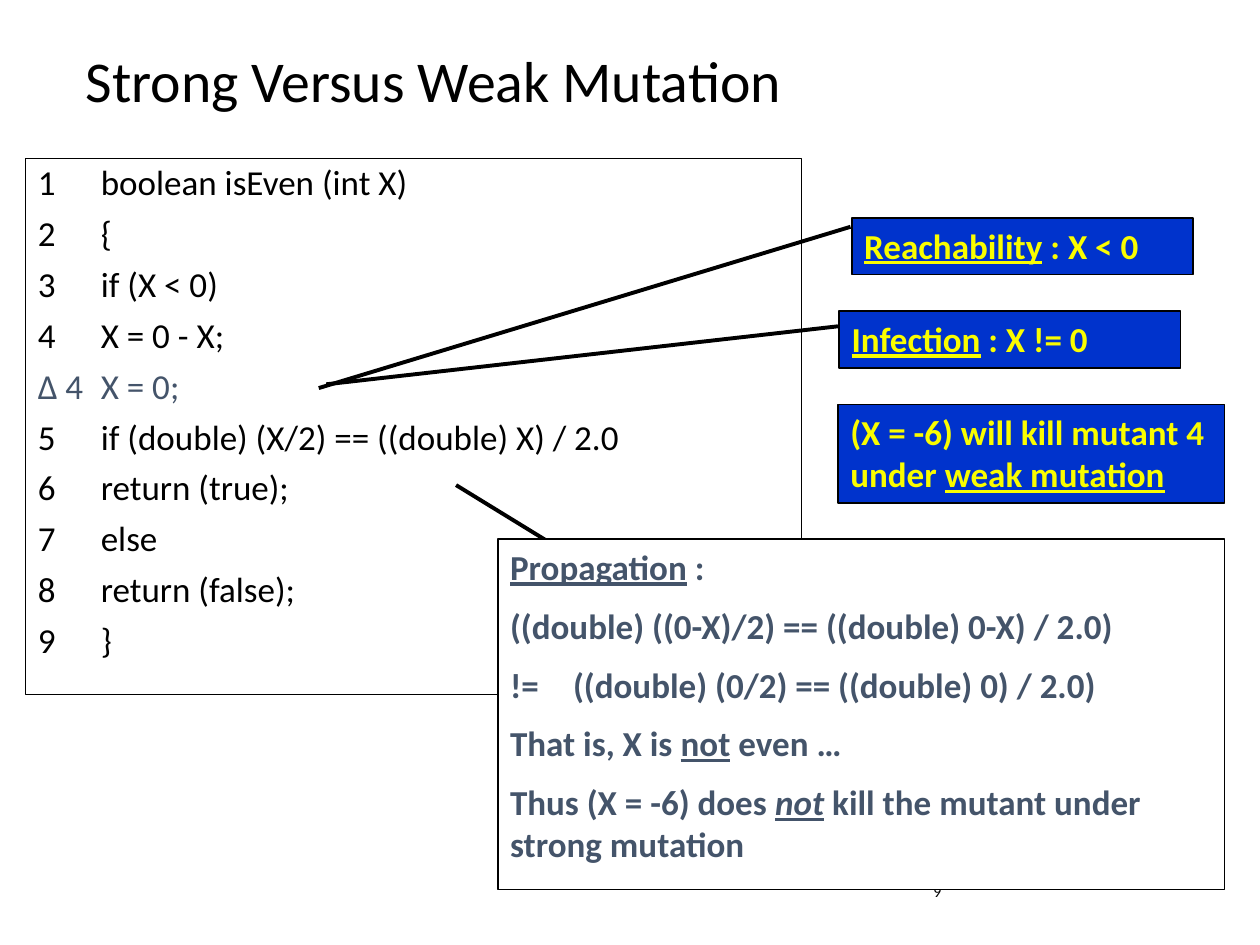
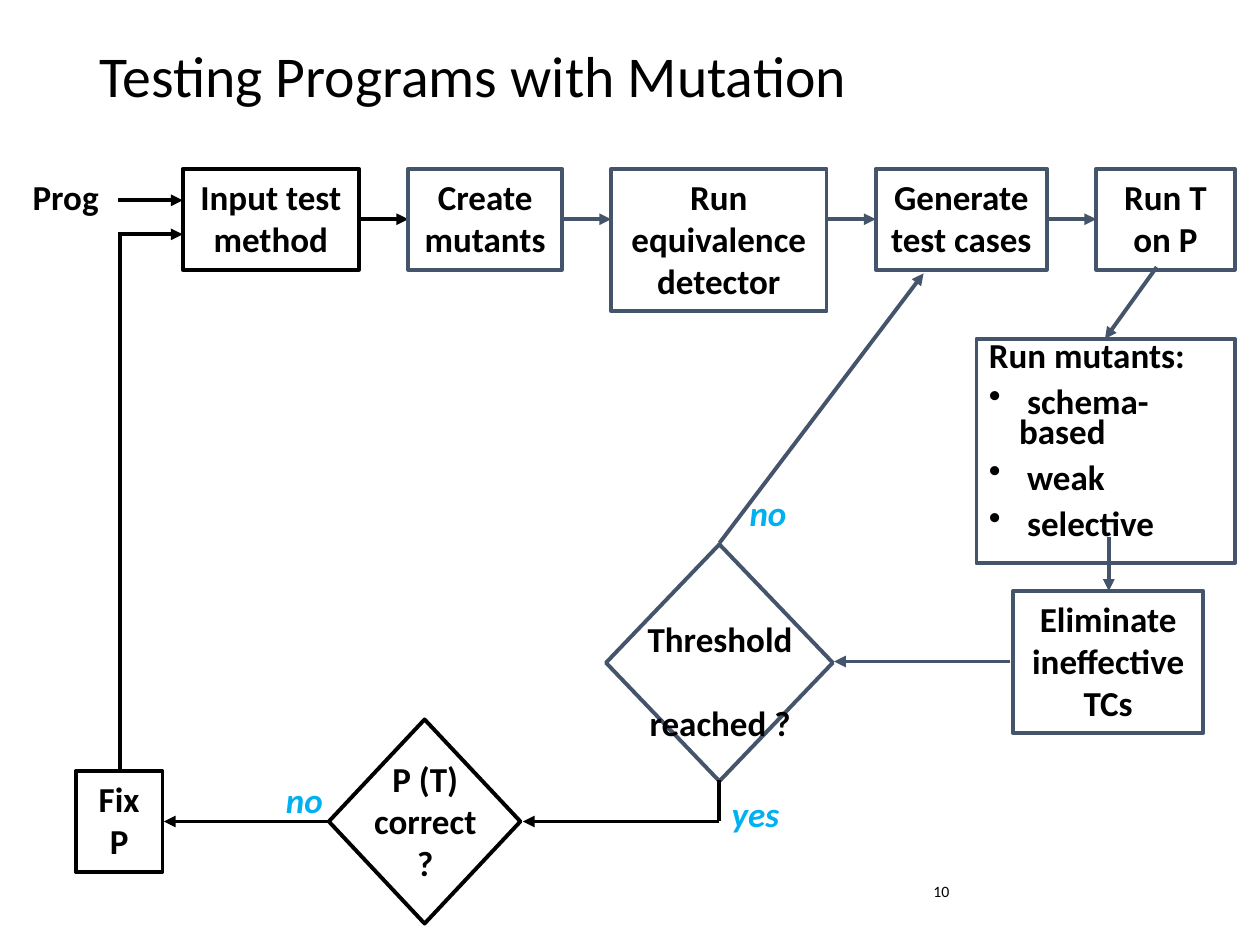
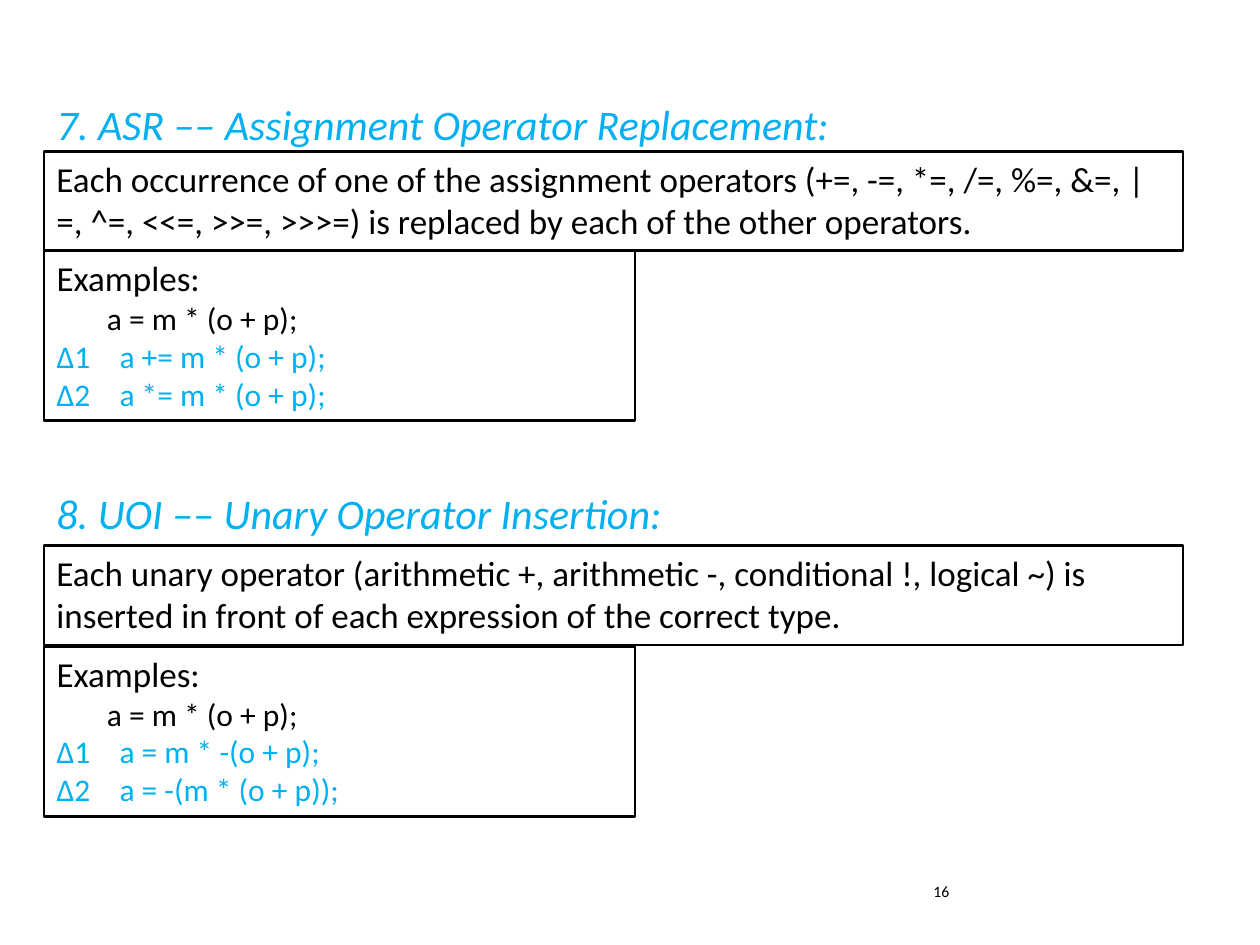
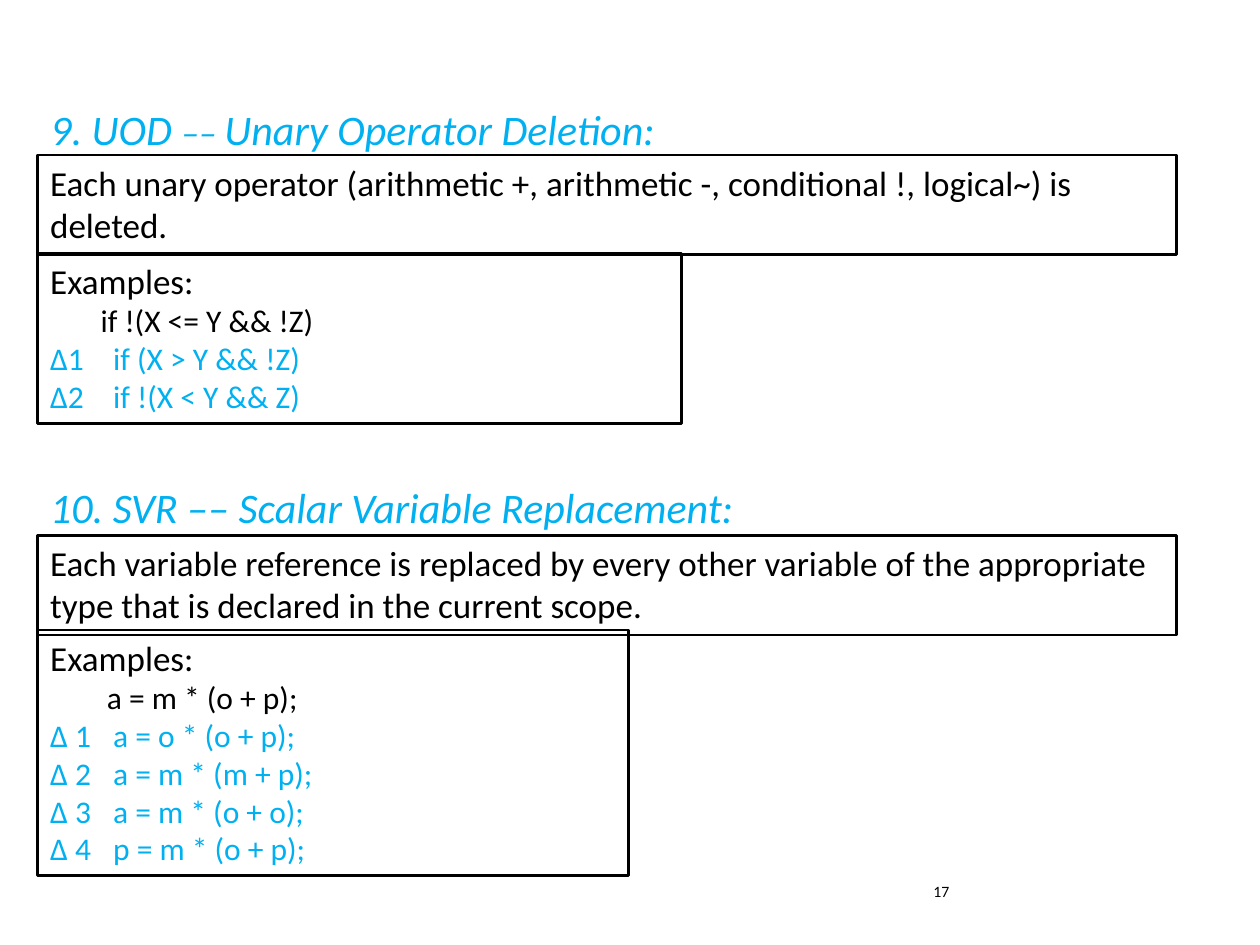
from dataclasses import dataclass, field

from lxml.etree import SubElement
from pptx import Presentation
from pptx.dml.color import RGBColor
from pptx.enum.shapes import MSO_CONNECTOR as Connector, MSO_SHAPE as Preset
from pptx.enum.text import MSO_ANCHOR as Anchor, MSO_AUTO_SIZE as AutoSize, PP_ALIGN as Align
from pptx.oxml.ns import qn
from pptx.util import Inches, Pt


class Theme:
    """Colours, type and grid shared by all slides."""
    FONT = "Calibri"
    BLACK, WHITE = RGBColor(0, 0, 0), RGBColor(255, 255, 255)
    SLATE, SKY = RGBColor(0x44, 0x54, 0x6A), RGBColor(0, 0xB0, 0xF0)
    BLUE, YELLOW = RGBColor(0, 0x33, 0xCC), RGBColor(0xFA, 0xFD, 0)
    TITLE, HEADING, TEXT, CODE, NUMBER = 33, 24, 20, 18, 9
    HAIR, THIN, RULE, FLOW = 0.75, 1, 1.5, 2.25
    COLUMNS, ROWS = 100, 75          # square grid cells over the whole slide
    CELL = Inches(10) / COLUMNS
    GAP_BEFORE = Pt(9.6)
    TWO_LINES, THREE_LINES = 8, 11.3  # box heights in rows


UNDERLINE = {"underline": True}


@dataclass
class Para:
    """One paragraph: runs of (text, font formats), and its own formats."""
    runs: list
    font: dict = field(default_factory=dict)
    formats: dict = field(default_factory=dict)
    left: float = 0
    hang: float = 0
    tab: float = 0
    bullet: str = ""


def cells(*counts):
    """Turn counts of grid cells into lengths."""
    return [round(count * Theme.CELL) for count in counts]


def apply(target, formats):
    """Set attributes from a dict; a colour and a size need conversion."""
    for key, value in formats.items():
        if key == "color":
            target.color.rgb = value
        else:
            setattr(target, key, Pt(value) if key == "size" else value)


def write(shape, paragraphs, font=None, formats=None, anchor=Anchor.TOP):
    """Fill a shape with paragraphs that share font and paragraph formats."""
    frame = shape.text_frame
    apply(frame, {"word_wrap": True, "auto_size": AutoSize.NONE, "vertical_anchor": anchor})
    shared = {"name": Theme.FONT, "size": Theme.TEXT, "color": Theme.BLACK, **(font or {})}
    for index, item in enumerate(paragraphs):
        para = item if isinstance(item, Para) else Para([item])
        target = frame.add_paragraph() if index else frame.paragraphs[0]
        apply(target, {"alignment": Align.LEFT, **(formats or {}), **para.formats})
        set_indents(target, para)
        for run in para.runs:
            text, own = (run, {}) if isinstance(run, str) else run
            part = target.add_run()
            part.text = text
            apply(part.font, {**shared, **para.font, **own})


def set_indents(target, para):
    """Write margin, bullet and tab stop of a paragraph."""
    props = target._p.get_or_add_pPr()
    left, hang, tab = cells(para.left, para.hang, para.tab)
    props.set("marL", str(left))
    props.set("indent", str(-hang))
    if para.bullet:
        SubElement(props, qn("a:buChar"), char=para.bullet)
    else:
        SubElement(props, qn("a:buNone"))
    if tab:
        stops = SubElement(props, qn("a:tabLst"))
        SubElement(stops, qn("a:tab"), pos=str(tab), algn="l")


def outline(shape, line, width, fill=None):
    """Give a shape its border and its fill, if any."""
    if fill is None:
        shape.fill.background()
    else:
        shape.fill.solid()
        shape.fill.fore_color.rgb = fill
    shape.line.color.rgb = line
    shape.line.width = Pt(width)


def add_box(slide, at, paragraphs=(), line=Theme.BLACK, width=Theme.FLOW, fill=None,
            preset=Preset.RECTANGLE, **text):
    """Add an outlined shape with optional text."""
    box = slide.shapes.add_shape(preset, *cells(*at))
    box.shadow.inherit = False
    outline(box, line, width, fill)
    if paragraphs:
        write(box, paragraphs, **text)
    return box


def add_label(slide, at, paragraphs, **text):
    """Add text without a border."""
    write(slide.shapes.add_textbox(*cells(*at)), paragraphs, **text)


def add_line(slide, start, end, color=Theme.BLACK, arrow=True):
    """Add a straight line, with an arrowhead at its end if wanted."""
    line = slide.shapes.add_connector(Connector.STRAIGHT, *cells(*start, *end))
    line.line.color.rgb = color
    line.line.width = Pt(Theme.FLOW)
    props = line._element.spPr
    if arrow:
        SubElement(props.find(qn("a:ln")), qn("a:tailEnd"), type="triangle")
    SubElement(props, qn("a:effectLst"))


def place(shape, at):
    """Move a placeholder to a grid frame."""
    apply(shape, dict(zip(("left", "top", "width", "height"), cells(*at))))


def add_slide(deck, layout, number):
    """Add a slide with its page number."""
    slide = deck.slides.add_slide(deck.slide_layouts[layout])
    add_label(slide, (73.1, 69.5, 26.9, 4), [number], font={"size": Theme.NUMBER})
    return slide


def set_title(slide, left, top, text):
    """Fill the title placeholder of a topic slide."""
    place(slide.shapes.title, (left, top, 86.2, 14.5))
    write(slide.shapes.title, [text], {"size": Theme.TITLE}, {"line_spacing": 0.9}, Anchor.MIDDLE)


def code_line(number, level, code, **font):
    """A numbered line of code, pushed in by its nesting level."""
    return Para([f"{number}\t{code}"], font, tab=4.6 + 3.1 * level)


def build_strong_weak(deck):
    """Code listing with the conditions that kill its mutant."""
    slide = add_slide(deck, 1, "9")
    set_title(slide, 5.8, -0.6, "Strong Versus Weak Mutation")
    listing = slide.placeholders[1]
    place(listing, (2, 12.6, 61.6, 42.5))
    outline(listing, Theme.BLACK, Theme.HAIR, Theme.WHITE)
    write(listing, [
        code_line("1", 0, "boolean isEven (int X)"),
        code_line("2", 0, "{"),
        code_line("3", 1, "if (X < 0)"),
        code_line("4", 2, "X = 0 - X;"),
        code_line("∆ 4", 2.1, "X = 0;", color=Theme.SLATE),
        code_line("5", 1.2, "if (double) (X/2) == ((double) X) / 2.0"),
        code_line("6", 2, "return (true);"),
        code_line("7", 1.2, "else"),
        code_line("8", 2, "return (false);"),
        code_line("9", 0, "}"),
    ], formats={"line_spacing": 0.9, "space_before": Pt(7.5)})

    for start, end in (((67.5, 18), (25.3, 30.8)), ((66.5, 25.9), (25.9, 30.5)),
                       ((50.7, 47.4), (36.2, 38.5))):
        add_line(slide, start, end, arrow=False)

    callouts = (
        ((67.6, 17.3, 27.1, 4.5), [("Reachability", UNDERLINE), " : X < 0"]),
        ((66.6, 24.7, 27.1, 4.5), [("Infection", UNDERLINE), " : X != 0"]),
        ((66.5, 32.1, 30.7, 7.8),
         ["(X = -6) will kill mutant 4 under ", ("weak mutation", UNDERLINE)]),
    )
    for at, runs in callouts:
        add_box(slide, at, [Para(runs)], width=Theme.THIN, fill=Theme.BLUE,
                font={"color": Theme.YELLOW, "bold": True})

    add_box(slide, (39.5, 42.8, 57.7, 27.8), [
        Para([("Propagation", UNDERLINE), " :"]),
        "((double) ((0-X)/2) == ((double) 0-X) / 2.0)",
        Para(["!=\t((double) (0/2) == ((double) 0) / 2.0)"], tab=4.1),
        Para(["That is, X is ", ("not", UNDERLINE), " even …"]),
        Para(["Thus (X = -6) does ", ("not", {"italic": True, **UNDERLINE}),
              " kill the mutant under strong mutation"]),
    ], width=Theme.THIN, fill=Theme.WHITE, font={"color": Theme.SLATE, "bold": True},
        formats={"space_before": Theme.GAP_BEFORE})


def build_process(deck):
    """Flow chart of testing with mutants."""
    slide = add_slide(deck, 5, "10")
    set_title(slide, 6.9, -1, "Testing Programs with Mutation")
    bold, centred = {"bold": True}, {"alignment": Align.CENTER}
    step = {"font": bold, "formats": centred}

    left, top, gap, middle = 14.5, 13.4, 3.9, 17.4
    stages = (("Input test method", 14, Theme.TWO_LINES, Theme.BLACK),
              ("Create mutants", 12.2, Theme.TWO_LINES, Theme.SLATE),
              ("Run equivalence detector", 17.1, Theme.THREE_LINES, Theme.SLATE),
              ("Generate test cases", 13.6, Theme.TWO_LINES, Theme.SLATE),
              ("Run T on P", 11, Theme.TWO_LINES, Theme.SLATE))
    for index, (text, width, height, color) in enumerate(stages):
        add_box(slide, (left, top, width, height), [text], color, **step)
        left += width + gap
        if index < len(stages) - 1:
            add_line(slide, (left - gap, middle), (left, middle), color)

    bullets = [Para([f" {kind}"], left=2.4, hang=2.4, bullet="•")
               for kind in ("schema-based", "weak", "selective")]
    add_box(slide, (77.5, 26.9, 20.5, 17.8), ["Run mutants:", *bullets], Theme.SLATE, font=bold,
            formats={"line_spacing": 0.7, "space_before": Theme.GAP_BEFORE})
    add_box(slide, (80.4, 46.9, 15.1, Theme.THREE_LINES), ["Eliminate ineffective TCs"],
            Theme.SLATE, **step)
    add_box(slide, (6, 61.2, 6.9, Theme.TWO_LINES), ["Fix P"], **step)
    add_box(slide, (48.1, 43.2, 18, 18.8), line=Theme.SLATE, preset=Preset.DIAMOND)
    add_box(slide, (26.1, 57.1, 15.2, 16.2), preset=Preset.DIAMOND)

    add_label(slide, (1.6, 13.4, 9.1, 4.3), ["Prog"], font=bold)
    add_label(slide, (49.9, 48.5, 14.5, 7.7),
              ["Threshold", Para(["reached ?"], formats={"space_before": Pt(24)})], **step)
    add_label(slide, (28.4, 59.6, 10.7, 11), ["P (T) correct ?"], **step)
    for column, row, answer in ((57.7, 38.5, "no"), (56.7, 62.4, "yes"), (20.9, 61.3, "no")):
        add_label(slide, (column, row, 6.5, 4.3), [answer], formats=centred,
                  font={"bold": True, "italic": True, "color": Theme.SKY})

    for start, end in (((91.8, 21.2), (87.7, 26.9)), ((88, 42.6), (88, 46.9)),
                       ((80.2, 52.5), (66.2, 52.5)), ((57.1, 43.1), (73.3, 21.7))):
        add_line(slide, start, end, Theme.SLATE)
    for start, end in (((9.4, 15.9), (14.5, 15.9)), ((9.4, 18.6), (14.5, 18.6)),
                       ((57.1, 65.2), (41.5, 65.2)), ((26, 65.2), (13, 65.2))):
        add_line(slide, start, end)
    for start, end in (((9.5, 61), (9.5, 18.6)), ((57.1, 61.9), (57.1, 65.2))):
        add_line(slide, start, end, arrow=False)


@dataclass
class Operator:
    """A mutation operator: texts, and the rows where its three parts start."""
    heading: list
    rule: str
    code: str
    mutants: list
    tops: tuple
    width: float = 46.9
    mark: str = "∆"
    indent: float = 4


def build_operators(deck, number, left, operators):
    """Slide of operators; the first heading is the slide's title."""
    slide = add_slide(deck, 5, number)
    for index, operator in enumerate(operators):
        heading_top, rule_top, example_top = operator.tops
        frame = (left, heading_top, 94.6, 5.9)
        heading = slide.shapes.add_textbox(*cells(*frame)) if index else slide.shapes.title
        place(heading, frame)
        write(heading, [Para(operator.heading)],
              {"size": Theme.HEADING, "color": Theme.SKY, "italic": True})
        add_box(slide, (left, rule_top, 90.4, 7.9), [operator.rule], width=Theme.RULE)
        code = {"size": Theme.CODE}
        lines = ["Examples:", Para([operator.code], code, left=operator.indent)]
        lines += [Para([f"{operator.mark}{order}\t{mutant}"], {**code, "color": Theme.SKY},
                       tab=operator.indent + 0.4)
                  for order, mutant in enumerate(operator.mutants, 1)]
        add_box(slide, (left, example_top, operator.width, 1.5 + 3 * len(lines)), lines,
                width=Theme.RULE)


def main():
    """Build the four slides and save them."""
    deck = Presentation()
    deck.slide_width, deck.slide_height = cells(Theme.COLUMNS, Theme.ROWS)
    build_strong_weak(deck)
    build_process(deck)
    build_operators(deck, "16", 3.5, [
        Operator(["7. ASR –– Assignment Operator Replacement:"],
                 "Each occurrence of one of the assignment operators (+=, -=, *=, /=, %=, &=, |=, "
                 "^=, <<=, >>=, >>>=) is replaced by each of the other operators.",
                 "a = m * (o + p);", ["a += m * (o + p);", "a *= m * (o + p);"],
                 (7.3, 12, 19.9)),
        Operator(["8. UOI –– Unary Operator Insertion:"],
                 "Each unary operator (arithmetic +, arithmetic -, conditional !, logical ~) is "
                 "inserted in front of each expression of the correct type.",
                 "a = m * (o + p);", ["a = m * -(o + p);", "a = -(m * (o + p));"],
                 (38.2, 43.3, 51.3)),
    ])
    build_operators(deck, "17", 3, [
        Operator(["9. UOD ", ("–– ", {"size": Theme.TEXT}), "Unary Operator Deletion:"],
                 "Each unary operator (arithmetic +, arithmetic -, conditional !, logical~) is "
                 "deleted.",
                 "if !(X <= Y && !Z)", ["if (X > Y && !Z)", "if !(X < Y && Z)"],
                 (7.7, 12.3, 20.1), width=51.1),
        Operator(["10. SVR –– Scalar Variable Replacement:"],
                 "Each variable reference is replaced by every other variable of the appropriate "
                 "type that is declared in the current scope.",
                 "a = m * (o + p);",
                 ["a = o * (o + p);", "a = m * (m + p);", "a = m * (o + o);", "p = m * (o + p);"],
                 (37.7, 42.5, 50), mark="∆ ", indent=4.5),
    ])
    deck.save("out.pptx")


main()
